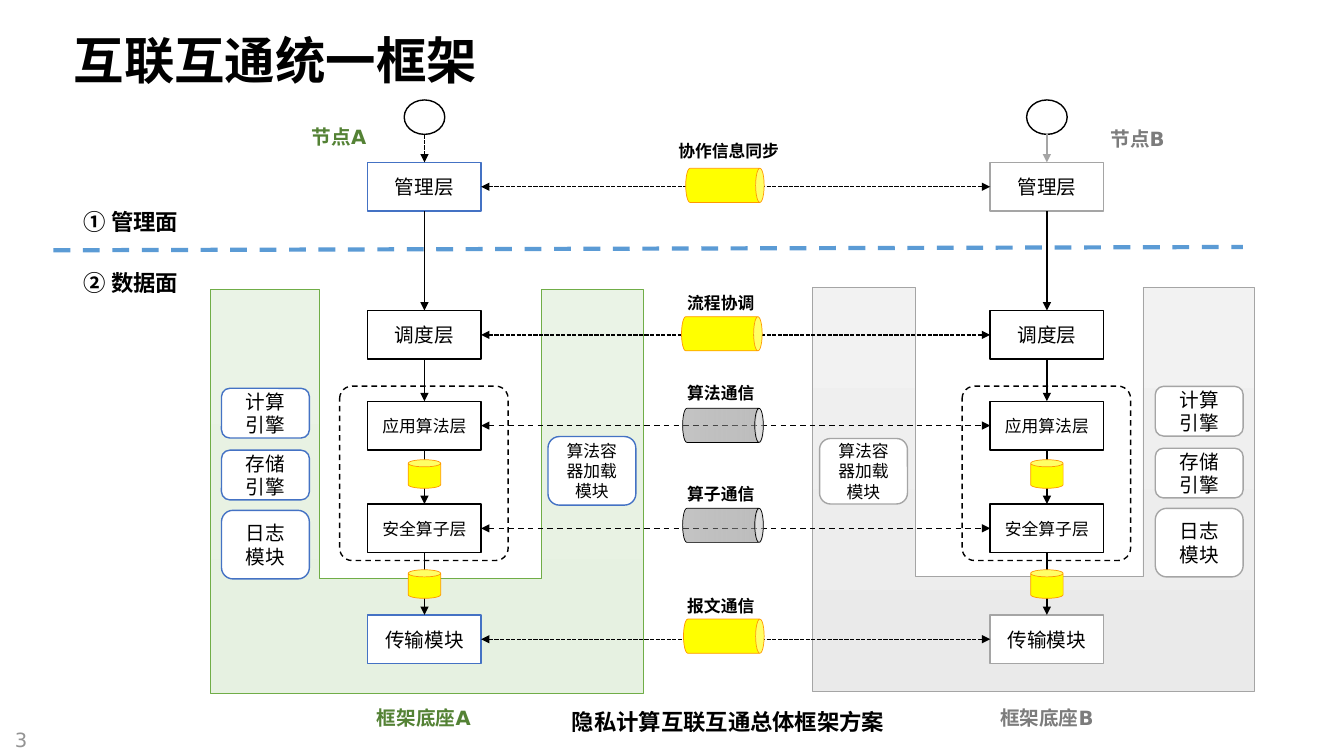
from pptx import Presentation
from pptx.dml.color import RGBColor
from pptx.enum import dml, shapes, text
from pptx.oxml.ns import qn
from pptx.util import Pt
from lxml import etree

BLACK = RGBColor(0x00, 0x00, 0x00)
WHITE = RGBColor(0xFF, 0xFF, 0xFF)
BLUE = RGBColor(0x44, 0x72, 0xC4)
SKY = RGBColor(0x5B, 0x9B, 0xD5)
GRAY = RGBColor(0xA5, 0xA5, 0xA5)
PALE = RGBColor(0x93, 0x93, 0x93)
SLATE = RGBColor(0x7C, 0x7C, 0x7C)
SMOKE = RGBColor(0x9D, 0x9D, 0x9D)
GREEN = RGBColor(0x70, 0xAD, 0x47)
MOSS = RGBColor(0x54, 0x82, 0x35)
MINT = [RGBColor(0xEA, 0xF3, 0xE6), RGBColor(0xE6, 0xF1, 0xE1)]
MIST = [RGBColor(0xF2, 0xF2, 0xF2), RGBColor(0xEA, 0xEA, 0xEA)]
YELLOW = RGBColor(0xFF, 0xFF, 0x00)
ORANGE = RGBColor(0xFF, 0x99, 0x00)
CJK, SANS = "Noto Sans CJK SC", "DejaVu Sans"
KIND, DASH = shapes.MSO_SHAPE, dml.MSO_LINE
MID, LEFT = text.PP_ALIGN.CENTER, text.PP_ALIGN.LEFT


def paint(shape, fill, edge, width=1.0, dash=None):
    shape.shadow.inherit = False
    if isinstance(fill, list):
        shape.fill.gradient()
        shape.fill.gradient_angle = 270
        for stop, tone in zip(shape.fill.gradient_stops, fill):
            stop.color.rgb = tone
    else:
        shape.fill.solid()
        shape.fill.fore_color.rgb = fill
    shape.line.color.rgb = edge
    shape.line.width = Pt(width)
    if dash:
        shape.line.dash_style = dash
    return shape


def write(shape, words, align=MID, east=CJK, **style):
    frame = shape.text_frame
    frame.word_wrap = True
    frame.text = words
    look = {"name": CJK, "size": Pt(14), "bold": False, **style}
    tone = look.pop("color", BLACK)
    for para in frame.paragraphs:
        para.alignment = align
        for run in para.runs:
            for key, value in look.items():
                setattr(run.font, key, value)
            run.font.color.rgb = tone
            etree.SubElement(run.font._element, qn("a:ea"), typeface=east)


deck = Presentation()
deck.slide_width, deck.slide_height = Pt(960), Pt(540)
slide = deck.slides.add_slide(deck.slide_layouts[5])
items = slide.shapes

# Title
title = items.title
title.left, title.top, title.width, title.height = Pt(45.4), Pt(-7.2), Pt(828), Pt(104.4)
title.text_frame.vertical_anchor = text.MSO_ANCHOR.MIDDLE
write(title, "互联互通统一框架", LEFT, name="Montserrat", size=Pt(36), bold=True)
title.text_frame.paragraphs[0].line_spacing = 0.9

# Divider between the two planes
rule = items.add_connector(shapes.MSO_CONNECTOR.STRAIGHT, Pt(38.2), Pt(178.8), Pt(887.8), Pt(176.4))
rule.line.color.rgb = SKY
rule.line.width = Pt(3)
rule.line.dash_style = DASH.DASH
lines = [rule]

# Both nodes: panel, side modules and layer stack
layers = [("管理层", 116, 14), ("调度层", 221.8, 14), ("应用算法层", 286.6, 12),
          ("安全算子层", 360, 12), ("传输模块", 439.2, 14)]
modules = [("计算\n引擎", 277.4, 35.5), ("存储\n引擎", 321.6, 35.5), ("日志\n模块", 364.5, 49)]
nodes = [
    # axis, panel sides, panel top, panel fill and line, accent, pin, module x, loader box
    (303.2, (150.5, 228.2, 387, 459.4), 206.6, MINT, GREEN, BLUE, BLACK, 158.2, (391.4, 311.8, 49)),
    (747.8, (580.3, 654, 816.4, 896), 205.2, MIST, GRAY, GRAY, GRAY, 825.2, (585.4, 313.2, 46.8)),
]
stacks, links = [], []
for axis, sides, top, fill, edge, accent, pin, side, loader in nodes:
    a, b, c, d = sides
    notch, base = top + 206.6, top + 288.6
    path = [(b, top), (b, notch), (c, notch), (c, top), (d, top), (d, base), (a, base)]
    form = items.build_freeform(Pt(a), Pt(top), scale=1.0)
    form.add_line_segments([(Pt(x), Pt(y)) for x, y in path], close=True)
    paint(form.convert_to_shape(), fill, edge, 0.5)

    shift = top - 206.6
    rooms = [(name, side, y + shift, high, 14) for name, y, high in modules]
    rooms.append(("算法容器加载模块", *loader, 12))
    for name, x, y, high, size in rooms:
        room = items.add_shape(KIND.ROUNDED_RECTANGLE, Pt(x), Pt(y), Pt(62.8), Pt(high))
        write(paint(room, WHITE, accent), name, size=Pt(size))

    group = items.add_shape(KIND.ROUNDED_RECTANGLE, Pt(axis - 60.6), Pt(275.8), Pt(120.4), Pt(124.6))
    group.adjustments[0] = 0.074
    paint(group, WHITE, BLACK, 1, DASH.DASH)
    ring = items.add_shape(KIND.OVAL, Pt(axis - 14.5), Pt(71.4), Pt(29), Pt(24.6))
    paint(ring, WHITE, BLACK)

    stack = []
    for name, y, size in layers:
        box = items.add_shape(KIND.RECTANGLE, Pt(axis - 40.5), Pt(y), Pt(81), Pt(34.8))
        tone = accent if name in ("管理层", "传输模块") else BLACK
        write(paint(box, WHITE, tone), name, size=Pt(size))
        stack.append(box)
    stacks.append(stack)

    # Downward links; the ring has no side 2 at its foot
    links.append((ring, None, stack[0], 0, pin, DASH.SQUARE_DOT if pin == BLACK else None))
    links += [(up, 2, low, 0, BLACK, None) for up, low in zip(stack, stack[1:])]

# Links between the nodes
dashes = [DASH.SQUARE_DOT, DASH.SQUARE_DOT, DASH.DASH, DASH.DASH, DASH.SQUARE_DOT]
links += [(west, 3, east, 1, BLACK, dash) for west, east, dash in zip(*stacks, dashes)]

for start, out, end, into, tone, dash in links:
    x, y = start.left + start.width // 2, start.top + start.height
    line = items.add_connector(shapes.MSO_CONNECTOR.STRAIGHT, x, y, x, y)
    if out is not None:
        line.begin_connect(start, out)
    line.end_connect(end, into)
    line.line.color.rgb = tone
    line.line.width = Pt(1)
    if dash:
        line.line.dash_style = dash
    for tip in ("headEnd", "tailEnd") if into == 1 else ("tailEnd",):
        etree.SubElement(line.line._get_or_add_ln(), qn("a:" + tip), type="triangle")
    lines.append(line)
for line in lines:
    etree.SubElement(line._element.spPr, qn("a:effectLst"))

# Small cans on the stacks
for axis, *rest in nodes:
    for y in (328.4, 407):
        can = items.add_shape(KIND.CAN, Pt(axis - 11.6), Pt(y), Pt(23.2), Pt(20.4))
        paint(can, YELLOW, ORANGE, 0.5)

# Channels: centre, length, clear or not, label and its place
channels = [
    (517.8, 132.4, 56, False, "协作信息同步", 477.4, 97.2),
    (515.6, 238.4, 57.6, False, "流程协调", 483.8, 205.2),
    (516.4, 303.8, 57.6, True, "算法通信", 483.8, 270),
    (516.4, 375.2, 57.6, True, "算子通信", 483.8, 342),
    (517, 454.4, 57.6, False, "报文通信", 483.8, 422),
]
for x, y, long, clear, name, left, top in channels:
    pipe = items.add_shape(KIND.CAN, Pt(x - 12.2), Pt(y - long / 2), Pt(24.4), Pt(long))
    pipe.rotation = 90
    paint(pipe, [SMOKE, SLATE] if clear else YELLOW, BLACK if clear else ORANGE, 0.5)
    if clear:
        for stop, alpha in zip(pipe._element.spPr.iter(qn("a:gs")), ("65000", "44000")):
            etree.SubElement(stop[0], qn("a:alpha"), val=alpha)
    label = items.add_textbox(Pt(left), Pt(top), Pt(95), Pt(22.3))
    write(label, name, LEFT, size=Pt(12), bold=True)

# Captions
captions = [
    ("① 管理面", 29.5, 145.4, 128.2, 16, CJK, BLACK),
    ("② 数据面", 38.2, 188.6, 110.9, 16, CJK, BLACK),
    ("节点A", 131, 85.7, 222.5, 14, SANS, MOSS),
    ("节点B", 701.3, 87.1, 222.5, 14, SANS, SLATE),
    ("框架底座A", 191.5, 500.4, 222.5, 14, SANS, MOSS),
    ("框架底座B", 636.5, 500.4, 222.5, 14, SANS, SLATE),
    ("隐私计算互联互通总体框架方案", 400.3, 502.6, 239.8, 16, CJK, BLACK),
]
for words, x, y, wide, size, face, tone in captions:
    note = items.add_textbox(Pt(x), Pt(y), Pt(wide), Pt(26))
    write(note, words, name=face, size=Pt(size), bold=True, color=tone)

# Page number
page = items.add_textbox(Pt(3.6), Pt(516.2), Pt(44.6), Pt(28.8))
write(page, "3", LEFT, name=SANS, color=PALE)

deck.save("out.pptx")
